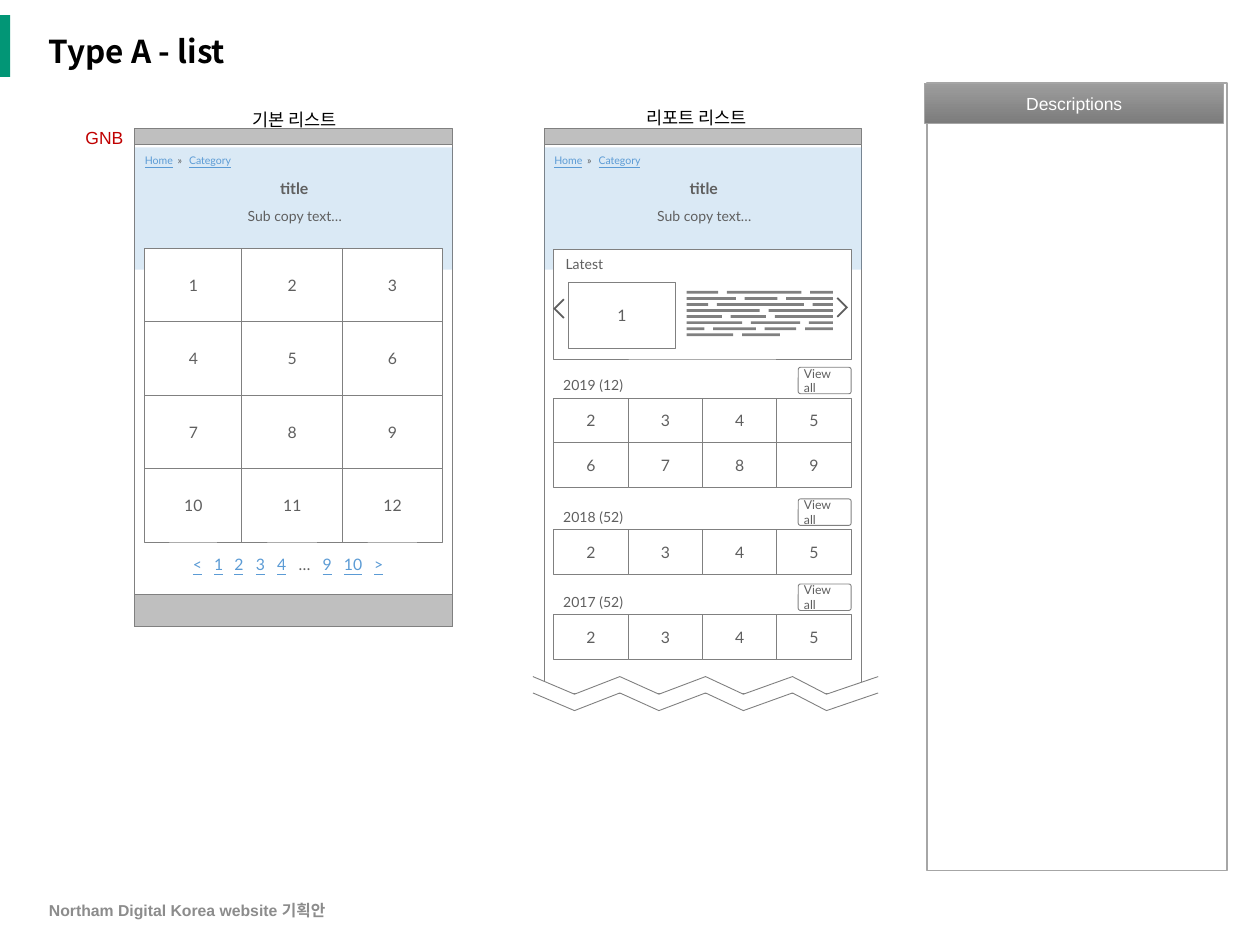
"""Build a wireframe slide with a basic list page and a report list page."""
import pptx
import pptx.dml.color
import pptx.enum.shapes
import pptx.enum.text
import pptx.oxml.ns
import pptx.util
from lxml import etree

Inches = pptx.util.Inches
RGBColor = pptx.dml.color.RGBColor
SHAPE = pptx.enum.shapes.MSO_SHAPE
ALIGN = pptx.enum.text.PP_ALIGN
ANCHOR = pptx.enum.text.MSO_ANCHOR
qn = pptx.oxml.ns.qn

BLACK = RGBColor(0x00, 0x00, 0x00)
WHITE = RGBColor(0xFF, 0xFF, 0xFF)
GREEN = RGBColor(0x02, 0x96, 0x76)
RED = RGBColor(0xC0, 0x00, 0x00)
BLUE = RGBColor(0x5B, 0x9B, 0xD5)
INK = RGBColor(0x5F, 0x5F, 0x5F)
OUTLINE = RGBColor(0x80, 0x80, 0x80)
BAR = RGBColor(0xBF, 0xBF, 0xBF)
PANEL = RGBColor(0xA6, 0xA6, 0xA6)
FOOTER = RGBColor(0x8C, 0x8C, 0x8C)
GRADIENT = (RGBColor(0x9D, 0x9D, 0x9D), RGBColor(0x7C, 0x7C, 0x7C))

SMALL_INSET = (0.08, 0.04)
PAGE_W = 2.52
PAGE_TOP = 1.02
TEXT_ROWS = (
    ((5.45, 5.7), (5.77, 6.36), (6.43, 6.61)),
    ((5.45, 5.84), (5.91, 6.17), (6.24, 6.61)),
    ((5.45, 5.62), (5.69, 6.38), (6.45, 6.61)),
    ((5.45, 6.03), (6.1, 6.61)),
    ((5.45, 5.73), (5.8, 6.08), (6.15, 6.61)),
    ((5.45, 5.89), (5.96, 6.35), (6.42, 6.61)),
    ((5.45, 5.59), (5.66, 6), (6.07, 6.32), (6.39, 6.61)),
    ((5.45, 5.82), (5.89, 6.19)),
)
ZIGZAG_X = (4.23, 4.56, 4.92, 5.23, 5.6, 5.9, 6.29, 6.56, 6.97)


def set_paint(sp, fill, line, width=0.5):
    """Give a shape its fill and line, where None means none."""
    sp.shadow.inherit = False
    if fill is None:
        sp.fill.background()
    else:
        sp.fill.solid()
        sp.fill.fore_color.rgb = fill
    if line is None:
        sp.line.fill.background()
    else:
        sp.line.color.rgb = line
        sp.line.width = pptx.util.Pt(width)


def add_run(p, text, size, color=INK, **formats):
    """Add one formatted run to a paragraph."""
    r = p.add_run()
    r.text = text
    r.font.color.rgb = color
    values = {"name": "Lato", "size": pptx.util.Pt(size), **formats}
    for name, value in values.items():
        setattr(r.font, name, value)


def prepare_frame(sp, anchor=ANCHOR.TOP, align=ALIGN.LEFT, inset=(0.1, 0.05)):
    """Set the text frame layout and return its first paragraph."""
    side, end = (Inches(v) for v in inset)
    tf = sp.text_frame
    values = {"word_wrap": True, "vertical_anchor": anchor, "margin_left": side,
              "margin_right": side, "margin_top": end, "margin_bottom": end}
    for name, value in values.items():
        setattr(tf, name, value)
    p = tf.paragraphs[0]
    p.alignment = align
    return p


def add_box(s, box, fill=WHITE, line=OUTLINE, width=0.5, kind=SHAPE.RECTANGLE):
    """Add a preset shape at a box in inches."""
    sp = s.shapes.add_shape(kind, *map(Inches, box))
    set_paint(sp, fill, line, width)
    return sp


def add_label(s, box, text, size, color=INK, frame=None, **formats):
    """Add a text box with one run and return its paragraph."""
    sp = s.shapes.add_textbox(*map(Inches, box))
    p = prepare_frame(sp, **(frame or {}))
    add_run(p, text, size, color, **formats)
    return p


def add_links(s, box, items, stops, size, plain):
    """Add a row of underlined links set on tab stops."""
    sp = s.shapes.add_textbox(*map(Inches, box))
    p = prepare_frame(sp, inset=SMALL_INSET)
    tabs = etree.SubElement(p._p.get_or_add_pPr(), qn("a:tabLst"))
    for stop in stops:
        etree.SubElement(tabs, qn("a:tab"), pos=str(Inches(stop)), algn="l")
    for i, item in enumerate(items):
        if i:
            add_run(p, "\t", size)
        is_link = item != plain
        add_run(p, item, size, BLUE if is_link else INK, underline=is_link)


def add_outline(s, contours, fill=None, line=None, close=True):
    """Add one freeform made of several contours."""
    paths = [[(Inches(x), Inches(y)) for x, y in points] for points in contours]
    builder = s.shapes.build_freeform(*paths[0][0])
    for i, points in enumerate(paths):
        if i:
            builder.move_to(*points[0])
        builder.add_line_segments(points[1:], close=close)
    set_paint(builder.convert_to_shape(), fill, line)


def add_cell(s, box, text):
    """Add a white box with a centred number."""
    p = prepare_frame(add_box(s, box), ANCHOR.MIDDLE, ALIGN.CENTER)
    add_run(p, text, 9)


def add_grid(s, left, top, widths, height, first, rows):
    """Add rows of cells numbered onward from first."""
    for row in range(rows):
        for col, width in enumerate(widths):
            box = (left + sum(widths[:col]), top + row * height, width, height)
            add_cell(s, box, str(first + row * len(widths) + col))


def add_page(s, left, height):
    """Add a page frame with its bar, breadcrumb, title and sub copy."""
    add_box(s, (left, 1.15, PAGE_W, height), fill=None)
    add_box(s, (left, PAGE_TOP, PAGE_W, 0.13), fill=BAR)
    band = add_box(s, (left, 1.17, PAGE_W, 0.97), fill=BLUE, line=None)
    color = band.fill._xPr.find(".//" + qn("a:srgbClr"))
    etree.SubElement(color, qn("a:alpha"), val="22000")
    add_label(s, (left, 1.37, 2.53, 0.25), "title", 9,
              frame={"align": ALIGN.CENTER}, bold=True)
    add_links(s, (left, 1.18, 0.85, 0.17), ("Home", "»", "Category"),
              (0.26, 0.35), 6, "»")
    add_label(s, (left + 0.06, 1.61, 2.42, 0.22), "Sub copy text…", 8,
              frame={"align": ALIGN.CENTER, "inset": SMALL_INSET})


def add_chevron(s, tip, mid, way):
    """Add a thin chevron whose tip points right (1) or left (-1)."""
    steps = ((0.08, -0.08), (0.09, -0.07), (0.02, 0), (0.09, 0.07), (0.08, 0.08), (0, 0))
    add_outline(s, [[(tip - way * dx, mid + dy) for dx, dy in steps]], fill=INK)


def add_latest(s):
    """Add the latest report carousel."""
    p = prepare_frame(add_box(s, (4.39, 1.98, 2.37, 0.87)))
    add_run(p, "Latest", 8)
    add_cell(s, (4.51, 2.24, 0.85, 0.53), "1")
    for row, bars in enumerate(TEXT_ROWS):
        top = 2.31 + row * 0.048
        bottom = top + 0.022
        add_outline(s, [[(a, top), (a, bottom), (b, bottom), (b, top)]
                        for a, b in bars], fill=OUTLINE)
    add_chevron(s, 6.73, 2.44, 1)
    add_chevron(s, 4.39, 2.45, -1)


def add_year(s, label, top, rows):
    """Add a year heading, its button and its grid of reports."""
    add_label(s, (4.39, top - 0.21, 1.9, 0.22), label, 8, frame={"inset": SMALL_INSET})
    add_grid(s, 4.395, top, [0.59] * 4, 0.355, 2, rows)
    button = add_box(s, (6.335, top - 0.245, 0.42, 0.21), kind=SHAPE.ROUNDED_RECTANGLE)
    button.adjustments[0] = 0.09
    add_run(prepare_frame(button, ANCHOR.MIDDLE, inset=(0.04, 0.04)), "View all", 7)


def add_tear(s):
    """Add the zigzag cut at the foot of the report page."""
    upper, lower = ([(x, y + 0.14 * (i % 2)) for i, x in enumerate(ZIGZAG_X)]
                    for y in (5.37, 5.5))
    add_outline(s, [upper + lower[::-1]], fill=WHITE)
    add_outline(s, [upper, lower], line=OUTLINE, close=False)


def add_descriptions(s):
    """Add the empty descriptions panel with its gradient heading."""
    add_box(s, (7.36, 0.66, 2.38, 6.25), line=PANEL, width=1)
    head = add_box(s, (7.34, 0.66, 2.37, 0.32), line=PANEL)
    head.fill.gradient()
    head.fill.gradient_angle = 270
    for stop, color in zip(head.fill.gradient_stops, GRADIENT):
        stop.color.rgb = color
    p = prepare_frame(head, ANCHOR.MIDDLE, ALIGN.CENTER, (0.04, 0.04))
    add_run(p, "Descriptions", 10, WHITE, name="Arial")


def main():
    """Build and save the slide."""
    prs = pptx.Presentation()
    prs.slide_width, prs.slide_height = Inches(10), Inches(7.5)
    s = prs.slides.add_slide(prs.slide_layouts[6])
    middle = {"anchor": ANCHOR.MIDDLE}
    add_box(s, (0, 0.12, 0.08, 0.49), fill=GREEN, line=None)
    add_descriptions(s)
    p = add_label(s, (0.29, 0.18, 7, 0.49), "Type A - list", 18, BLACK, middle,
                  name="Noto Sans CJK KR", bold=True)
    p.line_spacing = 0.9
    add_label(s, (0.29, 7.1, 3.38, 0.25), "Northam Digital Korea website 기획안", 9,
              FOOTER, middle, name="Arial", bold=True)

    add_page(s, 1.07, 3.82)
    add_box(s, (1.07, 4.72, PAGE_W, 0.25), fill=BAR)
    add_grid(s, 1.15, 1.97, [0.77, 0.8, 0.79], 0.583, 1, 4)
    add_links(s, (1.45, 4.36, 1.75, 0.23), ("<", *"1234", "…", "9", "10", ">"),
              (0.17, 0.33, 0.5, 0.67, 0.84, 1.03, 1.2, 1.44), 9, "…")

    add_page(s, 4.32, 4.35)
    add_latest(s)
    for label, top, rows in (("2019 (12)", 3.16, 2), ("2018 (52)", 4.205, 1),
                             ("2017 (52)", 4.88, 1)):
        add_year(s, label, top, rows)
    add_tear(s)

    add_label(s, (0.58, 0.96, 0.59, 0.27), "GNB", 10, RED, name="Arial")
    for text, left, top in (("기본 리스트", 1.07, 0.82), ("리포트 리스트", 4.26, 0.8)):
        add_label(s, (left, top, 2.53, 0.27), text, 10, BLACK,
                  {"align": ALIGN.CENTER}, name="Arial")
    prs.save("out.pptx")


if __name__ == "__main__":
    main()
